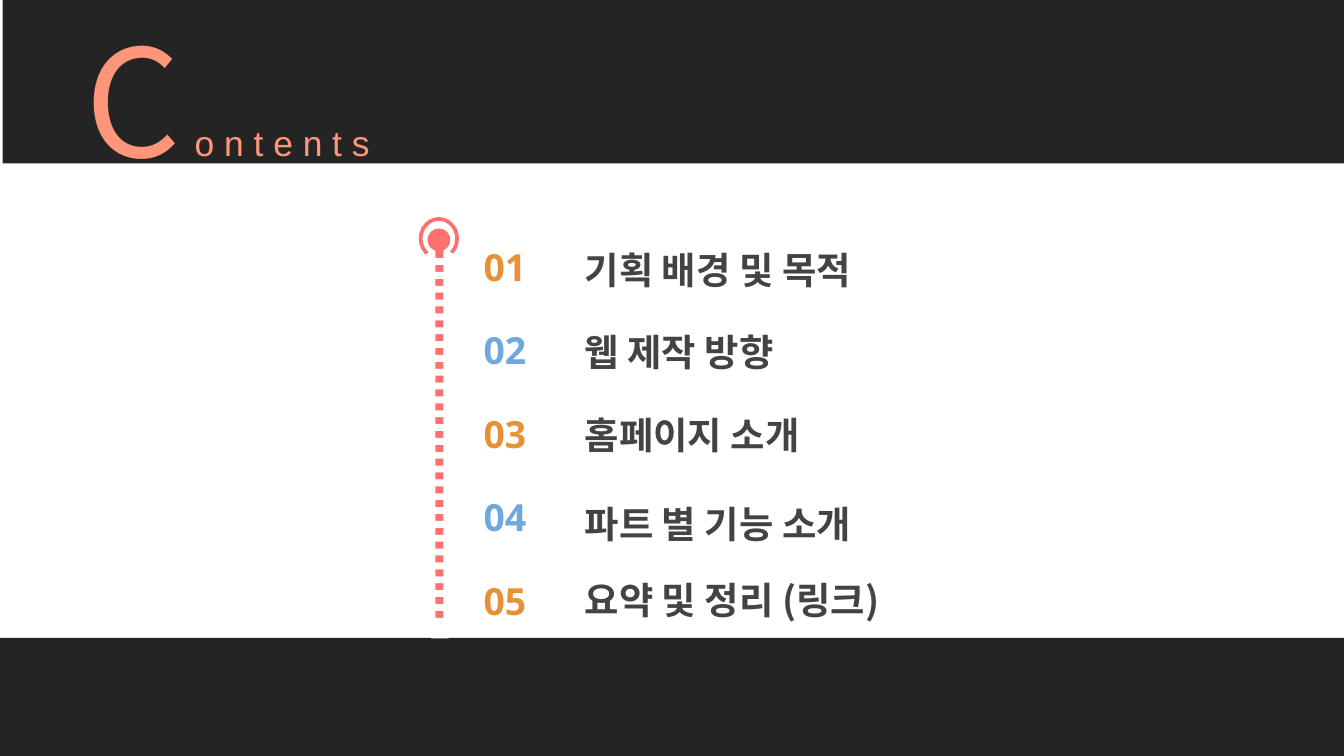
from lxml import etree
from pptx import Presentation
from pptx.dml.color import RGBColor
from pptx.enum import shapes, text
from pptx.oxml import ns
from pptx.util import Cm, Pt

CHARCOAL = RGBColor(0x24, 0x24, 0x24)
GREY = RGBColor(0x43, 0x43, 0x43)
WHITE = RGBColor(0xFF, 0xFF, 0xFF)
SALMON = RGBColor(0xFF, 0x96, 0x79)
CORAL = RGBColor(0xFF, 0x71, 0x71)
ORANGE = RGBColor(0xE6, 0x91, 0x38)
BLUE = RGBColor(0x6F, 0xA8, 0xDC)

INITIAL, REST = "C", "o n t e n t s"
CHAPTERS = [
    ("기획 배경 및 목적", 4.29),
    ("웹 제작 방향", 5.84),
    ("홈페이지 소개", 7.42),
    ("파트 별 기능 소개", 9.09),
    ("요약 및 정리 (링크)", 10.54),
]
NUMBER_TOP, NUMBER_PITCH = 4.36, 1.58
GAP_COUNT, GAP_TOP, GAP_LAST = 28, 4.88, 11.94

RECT = shapes.MSO_SHAPE.RECTANGLE
OVAL = shapes.MSO_SHAPE.OVAL
PILL = shapes.MSO_SHAPE.ROUNDED_RECTANGLE

deck = Presentation()
deck.slide_width, deck.slide_height = Cm(25.4), Cm(14.29)
slide = deck.slides.add_slide(deck.slide_layouts[5])


def add_block(kind, left, top, width, height, fill, outline=None):
    block = slide.shapes.add_shape(kind, Cm(left), Cm(top), Cm(width), Cm(height))
    block.shadow.inherit = False
    block.fill.solid()
    block.fill.fore_color.rgb = fill
    if outline is None:
        block.line.fill.background()
    else:
        block.line.color.rgb = outline
        block.line.width = Pt(2)
    return block


def write(box, wording, size, face, color, bold=False):
    frame = box.text_frame
    frame.text = wording
    frame.word_wrap = True
    frame.auto_size = text.MSO_AUTO_SIZE.NONE
    frame.vertical_anchor = text.MSO_ANCHOR.TOP
    frame.paragraphs[0].alignment = text.PP_ALIGN.LEFT
    run = frame.paragraphs[0].runs[0]
    run.font.size = Pt(size)
    run.font.bold = bold
    run.font.color.rgb = color
    run.font.name = face
    etree.SubElement(run.font._element, ns.qn("a:ea"), typeface=face)
    return frame


def add_label(wording, left, top, width, height, size, face, color, bold=False):
    box = slide.shapes.add_textbox(Cm(left), Cm(top), Cm(width), Cm(height))
    return write(box, wording, size, face, color, bold)


def add_entry(wording, left, top, width, height, face, color):
    frame = add_label(wording, left, top, width, height, 20, face, color, True)
    frame.margin_left = frame.margin_right = Cm(0.25)
    frame.margin_top = frame.margin_bottom = Cm(0.25)
    return frame


header = add_block(RECT, 0.05, 0, 25.4, 3.09, CHARCOAL)
slide.shapes._spTree.insert(2, header._element)
add_block(RECT, 0, 12.06, 25.4, 2.23, CHARCOAL)

title = slide.shapes.title
title.left, title.top, title.width, title.height = Cm(1.37), Cm(0.03), Cm(2.97), Cm(3.68)
write(title, INITIAL, 80, "Noto Sans CJK TC", SALMON)
add_label(REST, 3.43, 2.16, 6.38, 1.88, 19, "Arial", SALMON)

add_block(OVAL, 7.95, 4.14, 0.69, 0.74, WHITE, CORAL)
ring_cover = add_block(PILL, 7.87, 4.72, 0.89, 7.14, WHITE)
ring_cover.adjustments[0] = 0.5
add_block(OVAL, 8.08, 4.32, 0.43, 0.43, CORAL)
add_block(RECT, 8.23, 4.62, 0.15, 7.06, CORAL)
gap_pitch = (GAP_LAST - GAP_TOP) / (GAP_COUNT - 1)
for index in range(GAP_COUNT):
    add_block(RECT, 8.15, GAP_TOP + index * gap_pitch, 0.33, 0.13, WHITE)

for index, (chapter, top) in enumerate(CHAPTERS):
    number_color = BLUE if index % 2 else ORANGE
    number_top = NUMBER_TOP + index * NUMBER_PITCH
    add_entry(f"{index + 1:02}", 8.89, number_top, 1.37, 1.09, "Open Sans", number_color)
    entry = add_entry(chapter, 10.8, top, 9.17, 1.6, "Noto Sans CJK KR", GREY)
    entry.vertical_anchor = text.MSO_ANCHOR.MIDDLE

deck.save("out.pptx")
